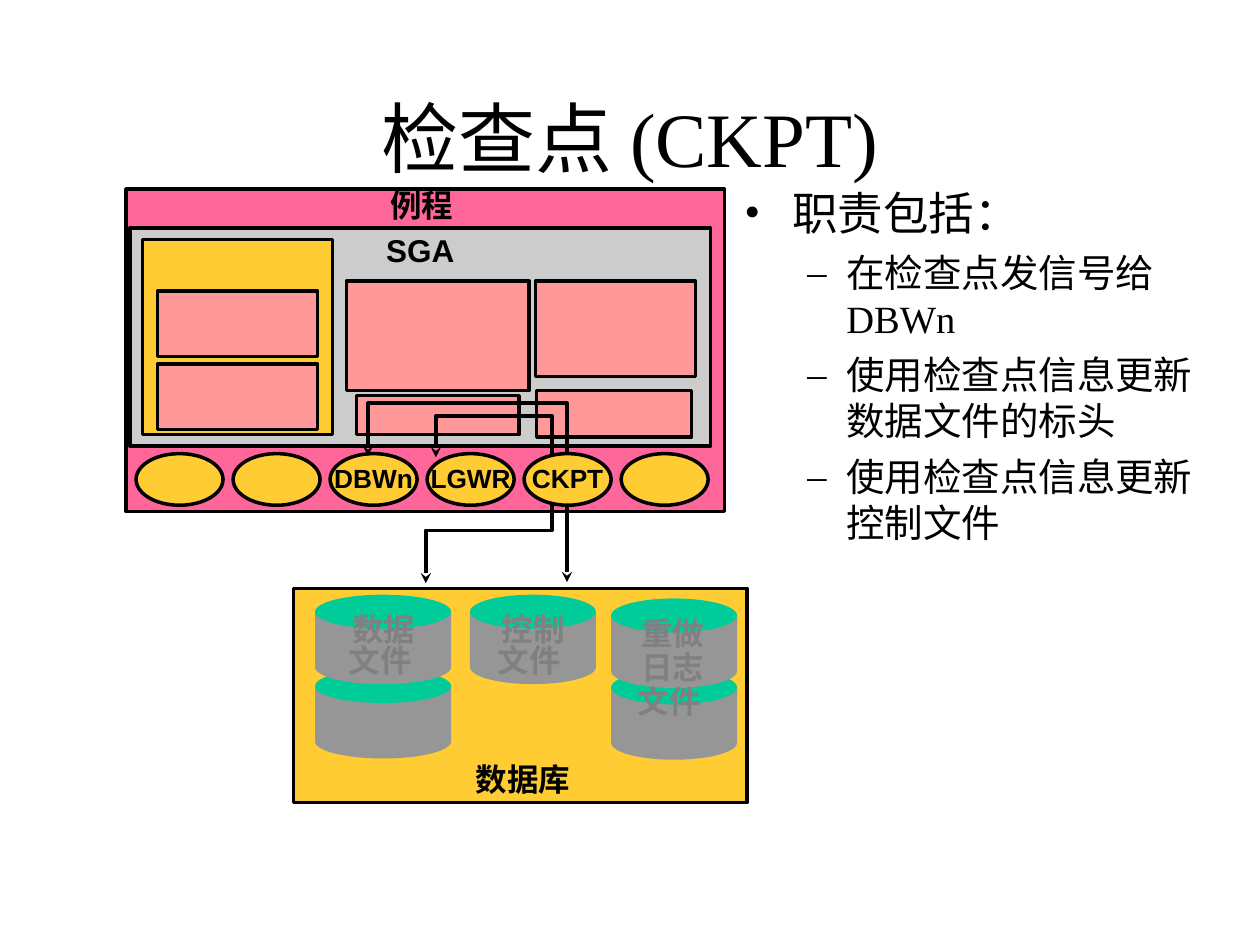
from lxml.etree import SubElement
from pptx import Presentation
from pptx.dml.color import RGBColor
from pptx.enum.shapes import MSO_SHAPE as Shape
from pptx.enum.text import MSO_ANCHOR as Anchor, PP_ALIGN as Align
from pptx.oxml.ns import qn
from pptx.util import Inches, Pt

BLACK = RGBColor(0x00, 0x00, 0x00)
GOLD = RGBColor(0xFF, 0xCC, 0x33)
HOT_PINK = RGBColor(0xFF, 0x66, 0x99)
SALMON = RGBColor(0xFF, 0x99, 0x99)
SILVER = RGBColor(0xCC, 0xCC, 0xCC)
DISK_GRAY = RGBColor(0x96, 0x96, 0x96)
DISK_TOP = RGBColor(0x00, 0xCC, 0x99)
CAPTION_GRAY = RGBColor(0x80, 0x80, 0x80)

CJK = "Noto Sans CJK SC"
SERIF = "Times New Roman"
SANS = "Arial"


def apply(target, values):
    for name, value in values.items():
        setattr(target, name, value)


def style_run(run, face, size, color=BLACK, bold=False):
    apply(run.font, {"name": face, "size": Pt(size), "bold": bold})
    run.font.color.rgb = color
    SubElement(run.font._element, qn("a:ea"), typeface=face)


def set_frame(frame, inset_x=0.1, inset_y=0.05, wrap=True, anchor=Anchor.TOP):
    apply(frame, {
        "margin_left": Inches(inset_x), "margin_right": Inches(inset_x),
        "margin_top": Inches(inset_y), "margin_bottom": Inches(inset_y),
        "word_wrap": wrap, "vertical_anchor": anchor,
    })


def write_centered(frame, text, face, size, color=BLACK, spacing=1.0):
    """Fill the frame with bold centred text; a vertical tab breaks the line."""
    paragraph = frame.paragraphs[0]
    paragraph.text = text
    apply(paragraph, {"alignment": Align.CENTER, "line_spacing": spacing})
    for run in paragraph.runs:
        style_run(run, face, size, color, bold=True)


def add_textbox(slide, left, top, width, height):
    return slide.shapes.add_textbox(
        Inches(left), Inches(top), Inches(width), Inches(height)).text_frame


def add_block(shapes, kind, left, top, width, height, fill, outlined=True):
    block = shapes.add_shape(
        kind, Inches(left), Inches(top), Inches(width), Inches(height))
    block.shadow.inherit = False
    block.fill.solid()
    block.fill.fore_color.rgb = fill
    if outlined:
        block.line.color.rgb = BLACK
        block.line.width = Pt(2)
    else:
        block.line.fill.background()
    return block


def add_title(slide, left, top, width, height):
    frame = add_textbox(slide, left, top, width, height)
    set_frame(frame)
    paragraph = frame.paragraphs[0]
    paragraph.alignment = Align.CENTER
    for text, face in (("检查点 ", CJK), ("(CKPT)", SERIF)):
        run = paragraph.add_run()
        run.text = text
        style_run(run, face, 44)


def add_duties(slide, left, top, width, height):
    frame = add_textbox(slide, left, top, width, height)
    set_frame(frame)
    heading = {"bullet": "•", "indent": 0.38, "hang": 0.38, "size": 26}
    duty = {"bullet": "–", "indent": 0.81, "hang": 0.31, "size": 22}
    entries = (
        (heading, [("职责包括：", CJK)]),
        (duty, [("在检查点发信号给 ", CJK), ("DBWn", SERIF)]),
        (duty, [("使用检查点信息更新数据文件的标头", CJK)]),
        (duty, [("使用检查点信息更新控制文件", CJK)]),
    )
    for index, (level, pieces) in enumerate(entries):
        paragraph = frame.add_paragraph() if index else frame.paragraphs[0]
        properties = paragraph._p.get_or_add_pPr()
        properties.set("marL", str(Inches(level["indent"])))
        properties.set("indent", str(-Inches(level["hang"])))
        if index:
            paragraph.level = 1
            paragraph.space_before = Pt(5.5)
        bullet_color = SubElement(properties, qn("a:buClr"))
        SubElement(bullet_color, qn("a:srgbClr"), val=str(BLACK))
        SubElement(properties, qn("a:buFont"), typeface=SERIF)
        SubElement(properties, qn("a:buChar"), char=level["bullet"])
        for text, face in pieces:
            run = paragraph.add_run()
            run.text = text
            style_run(run, face, level["size"])


def add_cylinder(slide, left, top, width):
    parts = slide.shapes.add_group_shape().shapes
    for kind, offset, height, fill in (
        (Shape.RECTANGLE, 0.14, 0.43, DISK_GRAY),
        (Shape.OVAL, 0, 0.27, DISK_TOP),
        (Shape.OVAL, 0.44, 0.27, DISK_GRAY),
    ):
        add_block(parts, kind, left, top + offset, width, height, fill, False)


def add_database(slide, left, top, width, height):
    add_block(slide.shapes, Shape.RECTANGLE, left, top, width, height, GOLD)
    for x, y, disk_width in (
        (1.4, 0.05, 1), (0.17, 0.64, 1.08), (0.17, 0.05, 1.08),
        (2.52, 0.65, 1), (2.52, 0.08, 1),
    ):
        add_cylinder(slide, left + x, top + y, disk_width)
    for text, x, y, box_width, box_height, spacing in (
        ("控制\v文件 ", 1.26, 0.16, 1.28, 0.62, Pt(18)),
        ("数据\v文件 ", 0.05, 0.16, 1.33, 0.62, Pt(18)),
        ("重做\v日志\v文件 ", 2.32, 0.18, 1.38, 0.93, 0.9),
    ):
        frame = add_textbox(slide, left + x, top + y, box_width, box_height)
        set_frame(frame, 0.11, 0.06)
        write_centered(frame, text, CJK, 18, CAPTION_GRAY, spacing)
    frame = add_textbox(slide, left + 1.32, top + 1.31, 1, 0.4)
    set_frame(frame, wrap=False)
    write_centered(frame, "数据库 ", CJK, 18)


def add_sga(slide, left, top, width, height):
    area = add_block(
        slide.shapes, Shape.RECTANGLE, left, top, width, height, SILVER)
    set_frame(area.text_frame, 0.05, 0.05, wrap=False)
    write_centered(area.text_frame, "SGA", SANS, 18, spacing=0.95)
    for x, y, pool_width, pool_height, fill in (
        (0.1, 0.09, 1.51, 1.55, GOLD),
        (0.22, 0.5, 1.27, 0.52, SALMON),
        (0.22, 1.08, 1.27, 0.52, SALMON),
        (1.72, 0.42, 1.45, 0.87, SALMON),
        (1.8, 1.33, 1.29, 0.31, SALMON),
        (3.22, 0.42, 1.27, 0.76, SALMON),
        (3.23, 1.29, 1.23, 0.37, SALMON),
    ):
        add_block(slide.shapes, Shape.RECTANGLE,
                  left + x, top + y, pool_width, pool_height, fill)


def add_process(slide, left, top, name):
    process = add_block(slide.shapes, Shape.OVAL, left, top, 0.69, 0.41, GOLD)
    if name:
        set_frame(process.text_frame, 0.05, 0.05, False, Anchor.MIDDLE)
        write_centered(process.text_frame, name, SANS, 15, spacing=0.95)


def add_signal(slide, left, top, points):
    """Draw an open path with an arrowhead at each end."""
    corners = [(Inches(left + x), Inches(top + y)) for x, y in points]
    builder = slide.shapes.build_freeform(*corners[0])
    builder.add_line_segments(corners[1:], close=False)
    signal = builder.convert_to_shape()
    signal.shadow.inherit = False
    signal.fill.background()
    signal.line.color.rgb = BLACK
    signal.line.width = Pt(2)
    outline = signal.line._get_or_add_ln()
    for end in ("a:headEnd", "a:tailEnd"):
        SubElement(outline, qn(end), type="stealth")


def add_instance(slide, left, top, width, height):
    instance = add_block(
        slide.shapes, Shape.RECTANGLE, left, top, width, height, HOT_PINK)
    set_frame(instance.text_frame, 0.05, 0, wrap=False)
    write_centered(instance.text_frame, "例程 ", CJK, 18, spacing=0.95)
    add_sga(slide, left + 0.03, top + 0.31, 4.61, 1.73)
    processes = [(left + 0.08 + 0.77 * column, top + 2.1, name)
                 for column, name in enumerate(
                     ("", "", "DBWn", "LGWR", "CKPT", ""))]
    checkpoint = processes.pop(4)
    for process in processes:
        add_process(slide, *process)
    add_signal(slide, left, top,
               ((1.92, 2.12), (1.92, 1.7), (3.5, 1.7), (3.5, 3.12)))
    add_signal(slide, left, top,
               ((2.46, 2.13), (2.46, 1.8), (3.38, 1.8),
                (3.38, 2.71), (2.38, 2.71), (2.38, 3.13)))
    add_process(slide, *checkpoint)


def main():
    deck = Presentation()
    deck.slide_width, deck.slide_height = Inches(10), Inches(7.5)
    slide = deck.slides.add_slide(deck.slide_layouts[6])
    add_title(slide, 0.75, 0.67, 8.5, 1.25)
    add_duties(slide, 5.81, 1.42, 3.94, 3.05)
    add_database(slide, 2.33, 4.67, 3.6, 1.7)
    add_instance(slide, 1, 1.5, 4.75, 2.56)
    deck.save("out.pptx")


if __name__ == "__main__":
    main()
